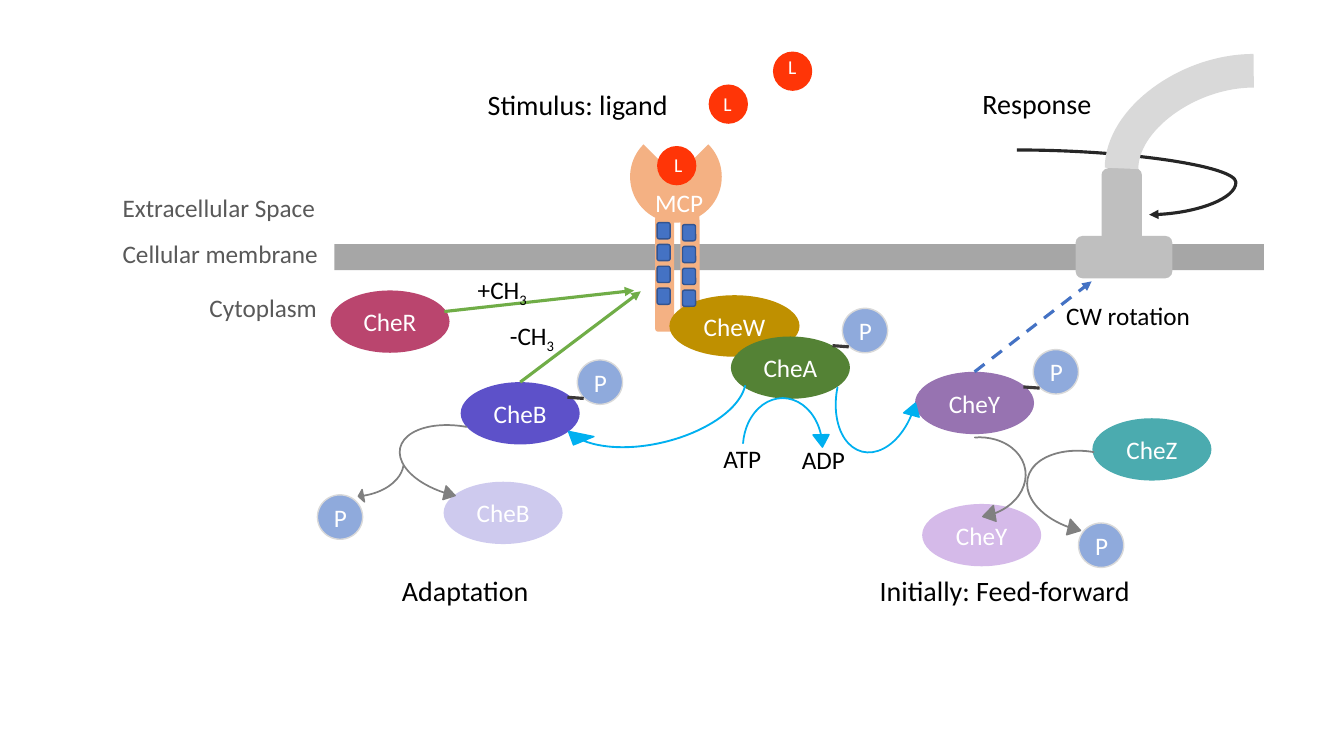
import pptx
import pptx.dml.color
import pptx.enum.dml
import pptx.enum.shapes
import pptx.enum.text
import pptx.oxml
import pptx.util
from dataclasses import dataclass

Cm = pptx.util.Cm
Pt = pptx.util.Pt
PRESET = pptx.enum.shapes.MSO_SHAPE
CONNECTOR = pptx.enum.shapes.MSO_CONNECTOR
ALIGN = pptx.enum.text.PP_ALIGN
ANCHOR = pptx.enum.text.MSO_ANCHOR
DRAWING_NS = 'xmlns:a="http://schemas.openxmlformats.org/drawingml/2006/main"'


@dataclass(frozen=True)
class Theme:
    font: str = "Calibri"
    heading: int = 20
    body: int = 18
    small: int = 14
    white: str = "FFFFFF"
    black: str = "000000"
    region: str = "595959"
    membrane: str = "A6A6A6"
    receptor: str = "F4B183"
    ligand: str = "FF3507"
    helix: str = "4472C4"
    helix_edge: str = "325491"
    phosphate: str = "8FAADC"
    phosphate_edge: str = "D9D9D9"
    bond: str = "3B3838"
    transfer: str = "00B0F0"
    release: str = "808080"
    methyl: str = "70AD47"
    motor: str = "BFBFBF"
    flagellum: str = "D9D9D9"
    rotation: str = "262626"


THEME = Theme()
SLIDE_SIZE = (33.87, 19.05)
LABEL_HEIGHTS = {THEME.heading: 1.12, THEME.body: 1.02, THEME.small: 0.86}

MEMBRANE = (8.43, 6.15, 23.42, 0.66)
RECEPTOR_HEAD = (15.88, 3.3, 2.31, 2.31)
RECEPTOR_LEGS = [(16.51, 5.44), (17.15, 5.36)]
LEG_SIZE = (0.48, 2.92)
LIGANDS = [(16.56, 3.68), (17.86, 2.13), (19.48, 1.3)]
LIGAND_SIZE = (0.99, 0.99)
HELIX_COLUMNS = [(17.2, 5.66), (16.56, 5.61)]
HELIX_SIZE, HELIX_STEP, HELIX_COUNT = (0.33, 0.41), 0.55, 4

PROTEIN_SIZE = (3, 1.57)
PROTEINS = [
    ("CheW", (16.87, 7.44), (3.28, 1.55), "BF9000", 100),
    ("CheA", (18.42, 8.48), PROTEIN_SIZE, "548235", 100),
    ("CheB", (11.61, 9.63), PROTEIN_SIZE, "2111B6", 73),
    ("CheB", (11.18, 12.14), PROTEIN_SIZE, "2111B6", 22),
    ("CheR", (8.33, 7.32), PROTEIN_SIZE, "A10039", 73),
    ("CheY", (23.06, 9.37), PROTEIN_SIZE, "9773B1", 100),
    ("CheY", (23.24, 12.7), PROTEIN_SIZE, "BC91DD", 62),
    ("CheZ", (27.53, 10.54), PROTEIN_SIZE, "4BABAF", 100),
]
PHOSPHATE_SIZE = (1.14, 1.12)
BOUND_PHOSPHATES = [(21.23, 7.77), (14.55, 9.07), (26.04, 8.81)]
FREE_PHOSPHATES = [(8, 12.47), (27.18, 13.18)]
BOND_START, BOND_END = (-0.25, 0.94), (0.16, 0.97)

ARC = (400, 1067700, 20457700, 11215100, 8400)
LONG_ARC = (400, 609000, 20457700, 11215100, 9500)
SHORT_ARC = (400, 488200, 20457700, 16453200, 7700)
ARC_ARROWS = [
    ((18.52, 9.83, 2.41, 2.92), 0, False, ARC, THEME.transfer),
    ((13.79, 8.53, 5.33, 2.92), 166.5, False, LONG_ARC, THEME.transfer),
    ((7.82, 10.16, 2.08, 2.95), 90, False, SHORT_ARC, THEME.release),
    ((10.62, 9.83, 2.11, 3.61), 102.2, True, ARC, THEME.release),
    ((23.39, 10.57, 2.41, 2.92), 81.5, False, ARC, THEME.release),
    ((26.26, 10.59, 2.41, 3.61), 102.2, True, ARC, THEME.release),
    ((20.9, 8.15, 2.41, 3.48), 14.2, True, ARC, THEME.transfer),
]
SIGNALS = [
    ((13.11, 9.63), (16.15, 7.34), THEME.methyl, False),
    ((11.2, 7.85), (15.98, 7.32), THEME.methyl, False),
    ((24.56, 9.37), (27.51, 7.09), THEME.helix, True),
]
ROTATION = ((25.63, 3.78), (28.96, 5.41))
FLAGELLUM = ((28.7, 1.35), (31.16, 4.68))
MOTOR = [((27.76, 4.24, 1.02, 1.9), 0), ((27.79, 5.26, 1.07, 2.44), 90)]

LABELS = [
    ("ATP", "", (17.98, 11.05), 1.73, THEME.body, THEME.black),
    ("ADP", "", (19.96, 11.07), 1.73, THEME.body, THEME.black),
    ("MCP", "", (16.26, 4.6), 2.57, THEME.body, THEME.white),
    ("Extracellular Space", "", (2.84, 4.72), 6.48, THEME.body, THEME.region),
    ("Cellular membrane", "", (2.84, 5.87), 6.48, THEME.body, THEME.region),
    ("Cytoplasm", "", (5.03, 7.24), 6.48, THEME.body, THEME.region),
    ("+CH", "3", (11.79, 6.78), 2.9, THEME.body, THEME.black),
    ("-CH", "3", (12.6, 7.95), 2.9, THEME.body, THEME.black),
    ("CW rotation", "", (26.62, 7.44), 5.82, THEME.body, THEME.black),
    ("Stimulus: ligand", "", (12.04, 2.08), 6.48, THEME.heading, THEME.black),
    ("Initially: Feed-forward", "", (21.92, 14.33), 7.62, THEME.heading, THEME.black),
    ("Adaptation", "", (9.88, 14.33), 4.95, THEME.heading, THEME.black),
    ("Response", "", (24.51, 2.06), 3.71, THEME.heading, THEME.black),
    ("L", "", (16.74, 3.73), 1.12, THEME.small, THEME.white),
    ("L", "", (17.98, 2.18), 1.12, THEME.small, THEME.white),
    ("L", "", (19.61, 1.27), 1.12, THEME.small, THEME.white),
]


def rgb(code):
    return pptx.dml.color.RGBColor.from_string(code)


def element(tag, attributes=""):
    return pptx.oxml.parse_xml(f"<a:{tag} {DRAWING_NS} {attributes}/>")


def write(paragraph, text, size, color):
    run = paragraph.add_run()
    run.text = text
    for key, value in {"name": THEME.font, "size": Pt(size)}.items():
        setattr(run.font, key, value)
    run.font.color.rgb = rgb(color)
    return run


def add_part(slide, preset, box, fill, edge=None, text="", opacity=100, rotation=0):
    part = slide.shapes.add_shape(preset, *map(Cm, box))
    part.shadow.inherit = False
    part.rotation = rotation
    part.fill.solid()
    part.fill.fore_color.rgb = rgb(fill)
    if opacity < 100:
        tint = part.fill._xPr.find(".//{*}srgbClr")
        tint.append(element("alpha", f'val="{opacity * 1000}"'))
    if edge:
        part.line.color.rgb = rgb(edge)
        part.line.width = Pt(1)
    else:
        part.line.fill.background()
    if text:
        part.text_frame.vertical_anchor = ANCHOR.MIDDLE
        paragraph = part.text_frame.paragraphs[0]
        paragraph.alignment = ALIGN.CENTER
        write(paragraph, text, THEME.body, THEME.white)
    return part


def add_link(slide, start, end, color, width=2.25, kind=CONNECTOR.STRAIGHT, dashed=False, arrow=True):
    link = slide.shapes.add_connector(kind, *map(Cm, start + end))
    link.line.color.rgb = rgb(color)
    link.line.width = Pt(width)
    if dashed:
        link.line.dash_style = pptx.enum.dml.MSO_LINE.DASH
    properties = link._element.spPr
    if arrow:
        properties.find("{*}ln").append(element("tailEnd", 'type="triangle"'))
    properties.append(element("effectLst"))
    return link


def add_label(slide, text, subscript, corner, width, size, color):
    label = slide.shapes.add_textbox(*map(Cm, (*corner, width, LABEL_HEIGHTS[size])))
    frame = label.text_frame
    options = {"word_wrap": True, "auto_size": pptx.enum.text.MSO_AUTO_SIZE.SHAPE_TO_FIT_TEXT}
    for key, value in options.items():
        setattr(frame, key, value)
    write(frame.paragraphs[0], text, size, color)
    if subscript:
        run = write(frame.paragraphs[0], subscript, size, color)
        run.font._element.set("baseline", "-25000")


def add_motor(slide):
    rotation = add_link(slide, *ROTATION, THEME.rotation, kind=CONNECTOR.CURVE)
    guides = rotation._element.spPr.find("{*}prstGeom").find("{*}avLst")
    guides.append(element("gd", 'name="adj1" fmla="val 165700"'))
    for box, turn in MOTOR:
        add_part(slide, PRESET.ROUNDED_RECTANGLE, box, THEME.motor, rotation=turn)
    flagellum = add_link(slide, *FLAGELLUM, THEME.flagellum, 24, CONNECTOR.CURVE, arrow=False)
    properties = flagellum._element.spPr
    properties.find("{*}prstGeom").set("prst", "curvedConnector2")
    for key, value in {"rot": "5400000", "flipH": "1", "flipV": "1"}.items():
        properties.find("{*}xfrm").set(key, value)


def main():
    """Build the bacterial chemotaxis signalling slide."""
    deck = pptx.Presentation()
    deck.slide_width, deck.slide_height = map(Cm, SLIDE_SIZE)
    slide = deck.slides.add_slide(deck.slide_layouts[6])
    add_part(slide, PRESET.RECTANGLE, MEMBRANE, THEME.membrane)
    add_part(slide, PRESET.PIE, RECEPTOR_HEAD, THEME.receptor, rotation=315)
    for corner in RECEPTOR_LEGS:
        add_part(slide, PRESET.ROUNDED_RECTANGLE, corner + LEG_SIZE, THEME.receptor)
    for corner in LIGANDS:
        add_part(slide, PRESET.OVAL, corner + LIGAND_SIZE, THEME.ligand)
    for name, corner, size, color, opacity in PROTEINS:
        add_part(slide, PRESET.OVAL, corner + size, color, text=name, opacity=opacity)
    for corner in BOUND_PHOSPHATES + FREE_PHOSPHATES:
        add_part(slide, PRESET.OVAL, corner + PHOSPHATE_SIZE, THEME.phosphate, THEME.phosphate_edge, "P")
    for left, top in BOUND_PHOSPHATES:
        start, end = ((left + dx, top + dy) for dx, dy in (BOND_START, BOND_END))
        add_link(slide, start, end, THEME.bond, arrow=False)
    for box, turn, flipped, guides, color in ARC_ARROWS:
        arc = add_part(slide, PRESET.CIRCULAR_ARROW, box, color, color, rotation=turn)
        for index, guide in enumerate(guides):
            arc.adjustments[index] = guide / 100000
        if flipped:
            arc._element.spPr.find("{*}xfrm").set("flipV", "1")
    for left, top in HELIX_COLUMNS:
        for row in range(HELIX_COUNT):
            box = (left, top + row * HELIX_STEP) + HELIX_SIZE
            add_part(slide, PRESET.ROUNDED_RECTANGLE, box, THEME.helix, THEME.helix_edge)
    for start, end, color, dashed in SIGNALS:
        add_link(slide, start, end, color, dashed=dashed)
    add_motor(slide)
    for label in LABELS:
        add_label(slide, *label)
    deck.save("out.pptx")


if __name__ == "__main__":
    main()
